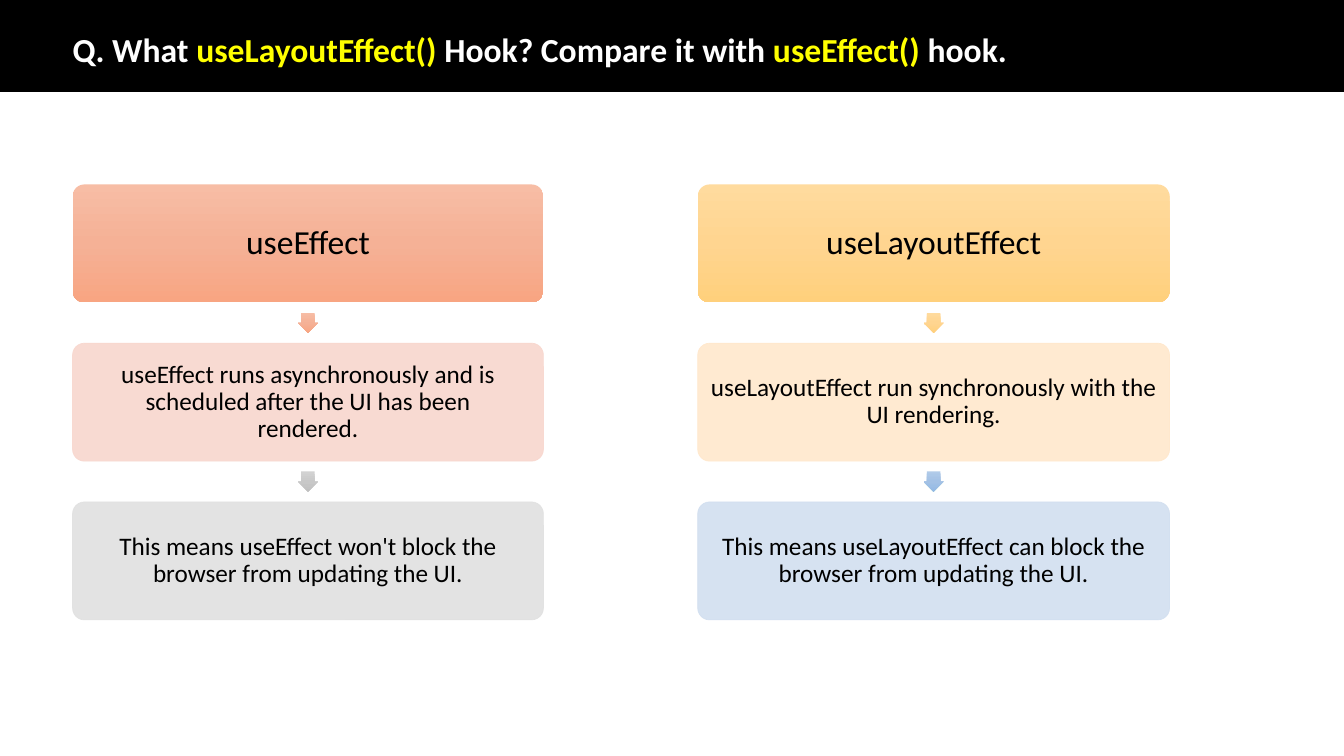
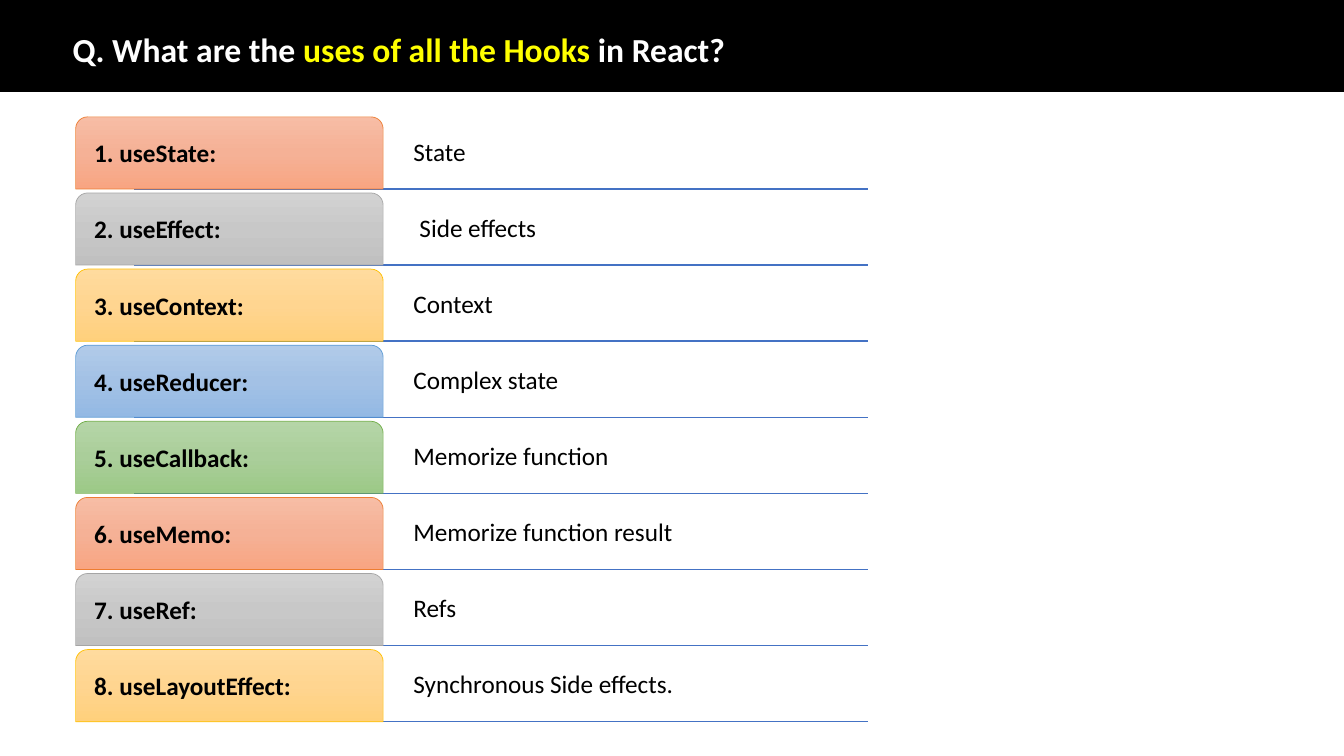
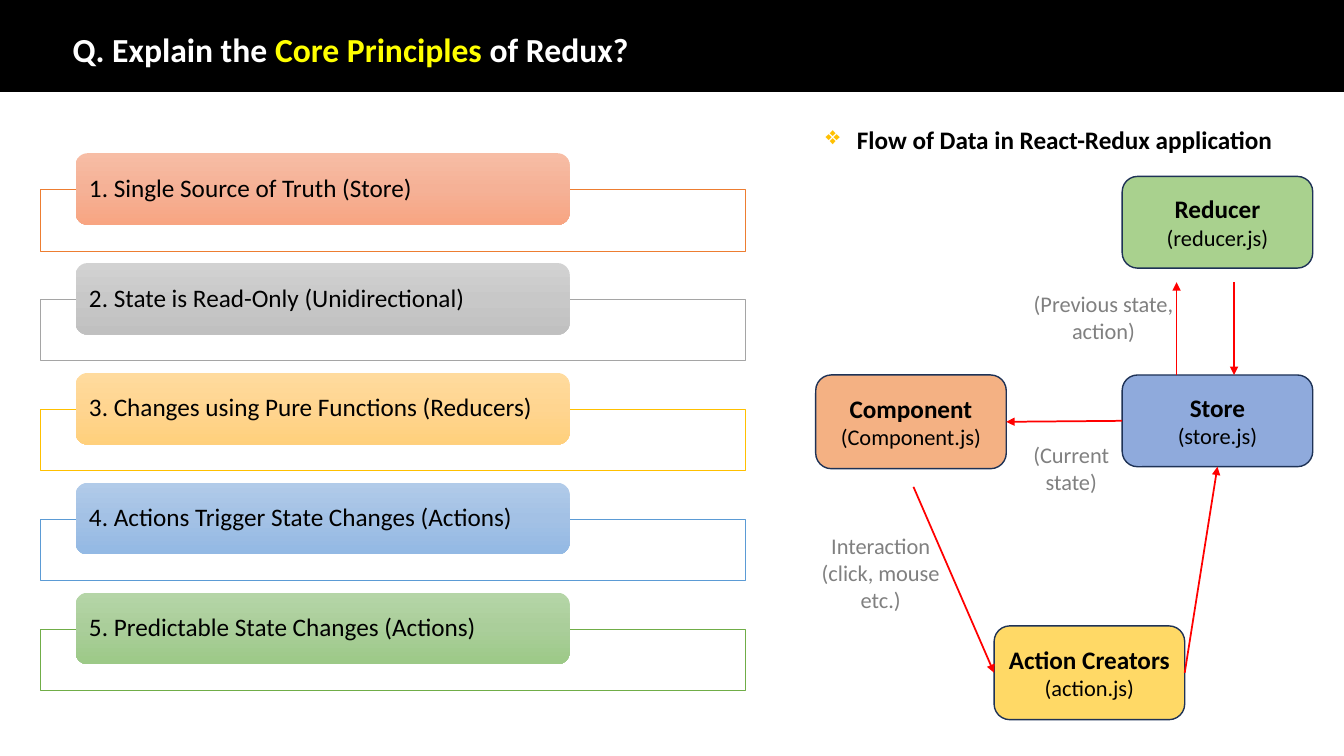
import copy

import pptx
import pptx.util
import pptx.dml.color
import pptx.enum.shapes
import pptx.enum.text
import pptx.oxml.ns
import lxml.etree

Inches, Pt = pptx.util.Inches, pptx.util.Pt
RGB = pptx.dml.color.RGBColor.from_string
qn = pptx.oxml.ns.qn
SHAPE = pptx.enum.shapes.MSO_SHAPE
ALIGN = pptx.enum.text.PP_ALIGN
ANCHOR = pptx.enum.text.MSO_ANCHOR

# Shared look
FONT = "Calibri"
BLACK, WHITE, YELLOW = RGB("000000"), RGB("FFFFFF"), RGB("FFFF00")
GREY_TEXT, RED, RULE_BLUE = RGB("808080"), RGB("FF0000"), RGB("4472C4")
NODE_EDGE, BULLET_GOLD = RGB("1E3256"), RGB("FFC000")
NODE_ORANGE, NODE_GOLD = RGB("F4B183"), RGB("FFD966")
NODE_BLUE, NODE_GREEN = RGB("8FAADC"), RGB("A9D18E")
PALE_ORANGE, PALE_GREY = RGB("F8D7CE"), RGB("E1E1E1")
PALE_GOLD, PALE_BLUE = RGB("FFE8CC"), RGB("D2DFF0")

# Gradients from top to bottom, with the matching outline colour
ORANGE = [RGB("F7BDA5"), RGB("F5B196"), RGB("F8A582")]
GREY = [RGB("D2D2D2"), RGB("C8C8C8"), RGB("C0C0C0")]
GOLD = [RGB("FFDB9E"), RGB("FFD590"), RGB("FFD07C")]
BLUE = [RGB("B1CBE9"), RGB("A3C1E5"), RGB("93B9E4")]
GREEN = [RGB("B5D5A7"), RGB("AACE9A"), RGB("9CC987")]
SERIES = [(ORANGE, RGB("ED7D31")), (GREY, RGB("A5A5A5")), (GOLD, RGB("FFC000")),
          (BLUE, RGB("5B9BD5")), (GREEN, RGB("70AD47"))]


# Text
def write(p, text, size=18, color=BLACK, bold=False, align=ALIGN.LEFT, spacing=None):
    p.alignment = align
    if spacing:
        p.line_spacing = spacing
    r = p.add_run()
    r.text = text
    r.font.name, r.font.size, r.font.bold = FONT, Pt(size), bold
    r.font.color.rgb = color


def set_frame(tf, anchor=ANCHOR.MIDDLE, insets=(0.1, 0.05, 0.1, 0.05)):
    tf.word_wrap = True
    tf.vertical_anchor = anchor
    tf.margin_left, tf.margin_top, tf.margin_right, tf.margin_bottom = map(Inches, insets)
    return tf.paragraphs[0]


def add_label(slide, x, y, w, h, text, anchor=ANCHOR.TOP, insets=(0.1, 0.05, 0.1, 0.05),
              **style):
    tb = slide.shapes.add_textbox(Inches(x), Inches(y), Inches(w), Inches(h))
    p = set_frame(tb.text_frame, anchor, insets)
    write(p, text, **style)
    return p


# Shapes and lines
def fill_gradient(sp, colors):
    sp.fill.gradient()
    sp.fill.gradient_angle = 270
    stops = sp._element.spPr.find(".//" + qn("a:gsLst"))
    stops.append(copy.deepcopy(stops[-1]))
    for i, (stop, color) in enumerate(zip(sp.fill.gradient_stops, colors)):
        stop.color.rgb = color
        stop.position = i / 2


def add_box(slide, kind, x, y, w, h, fill, line=None, width=0.5, alpha=None, adj=None):
    sp = slide.shapes.add_shape(kind, Inches(x), Inches(y), Inches(w), Inches(h))
    sp.shadow.inherit = False
    if adj is not None:
        sp.adjustments[0] = adj
    if isinstance(fill, list):
        fill_gradient(sp, fill)
    else:
        sp.fill.solid()
        sp.fill.fore_color.rgb = fill
    if line is None:
        sp.line.fill.background()
    else:
        sp.line.color.rgb = line
        sp.line.width = Pt(width)
    if alpha:
        for color in sp._element.spPr.iter(qn("a:srgbClr")):
            lxml.etree.SubElement(color, qn("a:alpha"), val=str(alpha * 1000))
    return sp


def add_line(slide, start, end, color, width, arrow=False):
    cn = slide.shapes.add_connector(pptx.enum.shapes.MSO_CONNECTOR.STRAIGHT,
                                    *map(Inches, start + end))
    cn.line.color.rgb = color
    cn.line.width = Pt(width)
    if arrow:
        lxml.etree.SubElement(cn.line._get_or_add_ln(), qn("a:tailEnd"), type="triangle")
    lxml.etree.SubElement(cn._element.spPr, qn("a:effectLst"))
    return cn


# Slide with the black title band; the second of each run pair marks a highlight
def add_question(prs, runs):
    slide = prs.slides.add_slide(prs.slide_layouts[5])
    band = add_box(slide, SHAPE.RECTANGLE, 0, 0, 13.33, 0.91, BLACK, BLACK, 1)
    slide.shapes._spTree.insert(2, band._element)
    title = slide.shapes.title
    title.left, title.top = Inches(0.62), Inches(0.34)
    title.width, title.height = Inches(11.5), Inches(0.35)
    title.text_frame.auto_size = pptx.enum.text.MSO_AUTO_SIZE.NONE
    p = set_frame(title.text_frame)
    for text, highlight in runs:
        write(p, text, size=24, color=YELLOW if highlight else WHITE, bold=True, spacing=0.9)
    return slide


# Column: a heading and two statements, joined by small arrows
def add_column(slide, x, y, w, heading, heading_fill, statements, side_inset):
    h, pitch, arrow = 1.17, 1.575, 0.2

    def add_card(top, text, size, inset, fill, **look):
        sp = add_box(slide, SHAPE.ROUNDED_RECTANGLE, x, top, w, h, fill, adj=0.1, **look)
        p = set_frame(sp.text_frame, insets=(inset, 0.03, inset, 0.03))
        write(p, text, size=size, align=ALIGN.CENTER, spacing=0.9)

    add_card(y, heading, 24, 0.03, heading_fill)
    for i, (text, pale, arrow_fill) in enumerate(statements, 1):
        top = y + i * pitch
        arrow_top = top - (pitch - h + arrow) / 2
        sp = add_box(slide, SHAPE.DOWN_ARROW, x + (w - arrow) / 2, arrow_top,
                     arrow, arrow, arrow_fill)
        sp.adjustments[0], sp.adjustments[1] = 0.67, 0.5
        add_card(top, text, 18, side_inset, pale, line=pale, alpha=90)


# Rows: a coloured tab, its use and a rule below
def add_tab_rows(slide, x, y, h, rows):
    gap = 0.04
    row_h = (h - gap * (len(rows) - 1)) / len(rows)
    tops = [y + i * (row_h + gap) for i in range(len(rows))]
    for top in tops:
        add_line(slide, (x + 0.58, top + row_h), (x + 7.86, top + row_h), RULE_BLUE, 1)
    for i, (top, (hook, use, shift)) in enumerate(zip(tops, rows)):
        fill, line = SERIES[i % len(SERIES)]
        add_label(slide, x + 3.31 + shift, top, 3.71, row_h, use, ANCHOR.MIDDLE,
                  (0.04,) * 4, spacing=0.9)
        tab = add_box(slide, SHAPE.ROUND_2_SAME_RECTANGLE, x, top, 3.05, row_h, fill, line)
        p = set_frame(tab.text_frame, insets=(0.15, 0.04, 0.04, 0.04))
        write(p, f"{i + 1}. {hook}:", bold=True, spacing=0.9)


# Principles: a coloured card over an outlined frame
def add_principles(slide, x, y, names):
    for i, (name, (fill, line)) in enumerate(zip(names, SERIES)):
        top = y + i * 1.09
        add_box(slide, SHAPE.RECTANGLE, x, top + 0.36, 6.99, 0.61, WHITE, line)
        card = add_box(slide, SHAPE.ROUNDED_RECTANGLE, x + 0.35, top, 4.9, 0.71, fill)
        p = set_frame(card.text_frame, insets=(0.1, 0, 0.19, 0))
        write(p, f"{i + 1}. {name}", spacing=0.9)


# Data flow: heading, four nodes, arrows and their labels
def add_data_flow(slide, x, y):
    heading = add_label(slide, x + 0.08, y, 5.24, 0.4,
                        "Flow of Data in React-Redux application", bold=True)
    pPr = heading._p.get_or_add_pPr()
    pPr.set("marL", str(Inches(0.31)))
    pPr.set("indent", str(-Inches(0.31)))
    color = lxml.etree.SubElement(pPr, qn("a:buClr"))
    lxml.etree.SubElement(color, qn("a:srgbClr"), val=str(BULLET_GOLD))
    lxml.etree.SubElement(pPr, qn("a:buChar"), char="❖")

    def add_node(dx, dy, h, name, file, fill):
        sp = add_box(slide, SHAPE.ROUNDED_RECTANGLE, x + dx, y + dy, 1.89, h,
                     fill, NODE_EDGE, 1)
        p = set_frame(sp.text_frame)
        write(p, name, bold=True, align=ALIGN.CENTER)
        write(sp.text_frame.add_paragraph(), file, size=16, align=ALIGN.CENTER)
        return sp

    component = add_node(0.08, 2.54, 0.93, "Component", "(Component.js)", NODE_ORANGE)
    actions = add_node(1.85, 5.03, 0.93, "Action Creators", "(action.js)", NODE_GOLD)
    store = add_node(3.12, 2.54, 0.91, "Store", "(store.js)", NODE_BLUE)
    add_node(3.12, 0.57, 0.91, "Reducer", "(reducer.js)", NODE_GREEN)

    def add_arrow(start, end, source=None, target=None):
        cn = add_line(slide, (x + start[0], y + start[1]), (x + end[0], y + end[1]),
                      RED, 1.25, arrow=True)
        if source:
            cn.begin_connect(*source)
        if target:
            cn.end_connect(*target)

    add_arrow((1.05, 3.65), (1.85, 5.49), target=(actions, 1))
    add_arrow((3.74, 5.49), (4.07, 3.45), (actions, 3), (store, 2))
    add_arrow((3.12, 2.99), (1.97, 3), (store, 1), (component, 3))
    add_arrow((3.66, 2.54), (3.66, 1.62))
    add_arrow((4.23, 1.62), (4.23, 2.54))

    for dx, dy, w, h, text in [
        (0, 4.05, 1.45, 0.91, "Interaction (click, mouse etc.)"),
        (2.07, 1.65, 1.73, 0.64, "(Previous state, action)"),
        (2.06, 3.15, 1.11, 0.64, "(Current state)"),
    ]:
        add_label(slide, x + dx, y + dy, w, h, text, size=16, color=GREY_TEXT,
                  align=ALIGN.CENTER)


def main():
    prs = pptx.Presentation()
    prs.slide_width, prs.slide_height = Inches(13.33), Inches(7.5)

    # Comparison of the two hooks
    slide = add_question(prs, [("Q. What ", False), ("useLayoutEffect()", True),
                               (" Hook? Compare it with ", False), ("useEffect()", True),
                               (" hook.", False)])
    add_column(slide, 0.72, 1.83, 4.67, "useEffect", ORANGE, [
        ("useEffect runs asynchronously and is scheduled after the UI has been rendered.",
         PALE_ORANGE, ORANGE),
        ("This means useEffect won't block the browser from updating the UI.",
         PALE_GREY, GREY),
    ], 0.2)
    add_column(slide, 6.92, 1.83, 4.68, "useLayoutEffect", GOLD, [
        ("useLayoutEffect run synchronously with the UI rendering.", PALE_GOLD, GOLD),
        ("This means useLayoutEffect can block the browser from updating the UI.",
         PALE_BLUE, BLUE),
    ], 0.03)

    # Uses of the hooks
    slide = add_question(prs, [("Q. What are the ", False), ("uses of all the Hooks ", True),
                               ("in React?", False)])
    add_tab_rows(slide, 0.75, 1.16, 6, [
        ("useState", "State", 0),
        ("useEffect", "Side effects", 0.06),
        ("useContext", "Context", 0),
        ("useReducer", "Complex state", 0),
        ("useCallback", "Memorize function", 0),
        ("useMemo", "Memorize function result", 0),
        ("useRef", "Refs", 0),
        ("useLayoutEffect", "Synchronous Side effects.", 0),
    ])

    # Principles of Redux
    slide = add_question(prs, [("Q. Explain the ", False), ("Core Principles", True),
                               (" of Redux?", False)])
    add_principles(slide, 0.4, 1.52, [
        "Single Source of Truth (Store)",
        "State is Read-Only (Unidirectional)",
        "Changes using Pure Functions (Reducers)",
        "Actions Trigger State Changes (Actions)",
        "Predictable State Changes (Actions)",
    ])
    add_data_flow(slide, 8.01, 1.18)

    prs.save("out.pptx")


if __name__ == "__main__":
    main()
